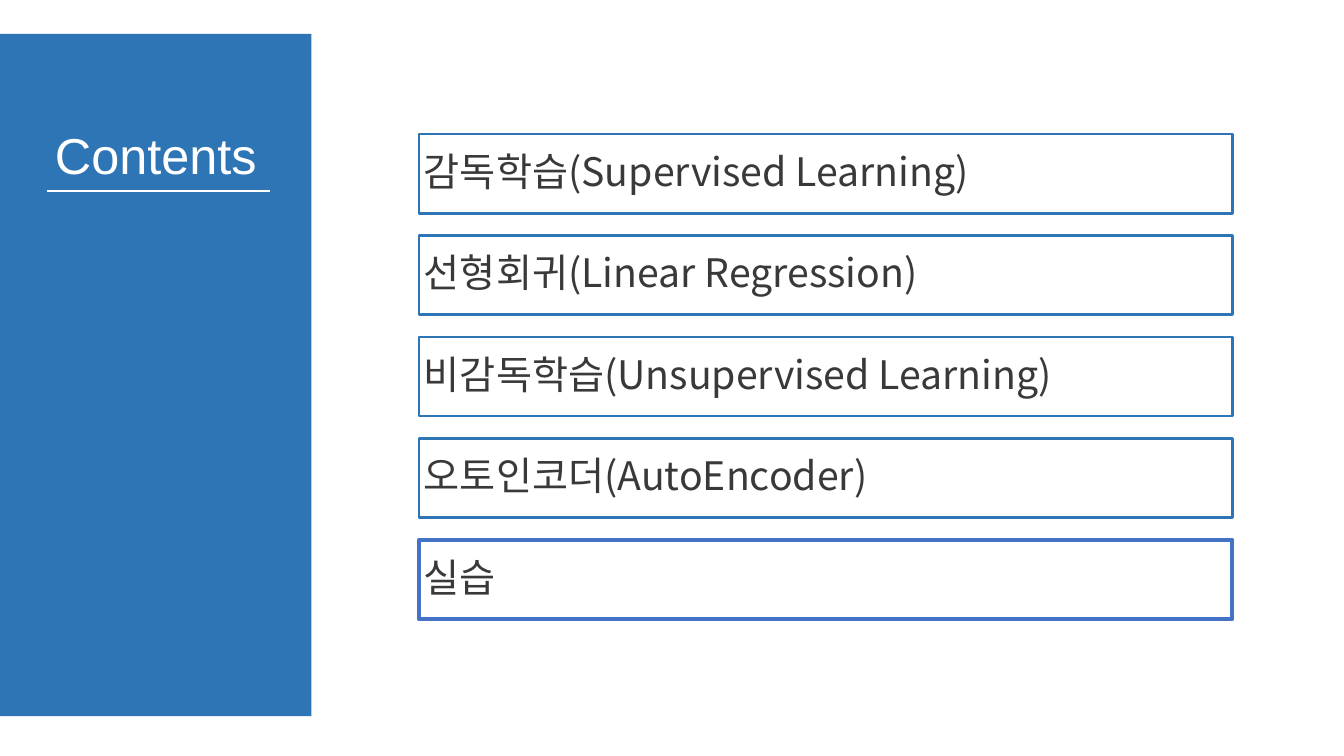
from dataclasses import dataclass
from typing import Any

import lxml.etree
import pptx
import pptx.dml.color
import pptx.enum.shapes
import pptx.enum.text
import pptx.oxml.ns
import pptx.util

Pt = pptx.util.Pt
ALIGN = pptx.enum.text.PP_ALIGN
BLUE = "2E75B6"
WHITE = "FFFFFF"
BODY_FONT = "Noto Sans CJK KR"
FIRST_TOP = 191.5
ITEM_STEP = 145


@dataclass(frozen=True)
class Frame:
    left: float
    top: float
    width: float
    height: float

    def lengths(self) -> list[int]:
        return [Pt(value) for value in (self.left, self.top, self.width, self.height)]


@dataclass(frozen=True)
class ContentItem:
    text: str
    line_color: str = BLUE
    line_width: float = 4


ITEMS = [
    ContentItem("감독학습(Supervised Learning)"),
    ContentItem("선형회귀(Linear Regression)"),
    ContentItem("비감독학습(Unsupervised Learning)"),
    ContentItem("오토인코더(AutoEncoder)"),
    ContentItem("실습", "4472C4", 6),
]


def color(value: str) -> pptx.dml.color.RGBColor:
    return pptx.dml.color.RGBColor.from_string(value)


def apply_format(target: Any, values: dict[str, Any]) -> None:
    for name, value in values.items():
        setattr(target, name, value)


def write_text(shape: Any, text: str, font_name: str, size: float,
               font_color: str, alignment: Any) -> None:
    frame = shape.text_frame
    margins = {f"margin_{side}": Pt(7.2) for side in ("left", "top", "right", "bottom")}
    apply_format(frame, margins | {
        "word_wrap": True,
        "vertical_anchor": pptx.enum.text.MSO_ANCHOR.MIDDLE,
    })
    paragraph = frame.paragraphs[0]
    apply_format(paragraph, {"alignment": alignment, "line_spacing": 0.9})
    run = paragraph.add_run()
    run.text = text
    apply_format(run.font, {"name": font_name, "size": Pt(size)})
    run.font.color.rgb = color(font_color)
    for properties in shape.element.iter(pptx.oxml.ns.qn("a:rPr")):
        lxml.etree.SubElement(properties, pptx.oxml.ns.qn("a:ea"), typeface=font_name)


def add_rectangle(slide: Any, frame: Frame) -> Any:
    shape = slide.shapes.add_shape(
        pptx.enum.shapes.MSO_SHAPE.RECTANGLE, *frame.lengths())
    shape.shadow.inherit = False
    return shape


def add_sidebar(slide: Any) -> None:
    sidebar = add_rectangle(slide, Frame(0, 48.5, 445, 974.5))
    sidebar.fill.solid()
    sidebar.fill.fore_color.rgb = color(BLUE)
    sidebar.line.fill.background()

    title = slide.shapes.add_textbox(*Frame(34, 178.5, 377, 94.5).lengths())
    write_text(title, "Contents", "Arial", 72, WHITE, ALIGN.CENTER)

    underline = slide.shapes.add_connector(
        pptx.enum.shapes.MSO_CONNECTOR.STRAIGHT, Pt(67.5), Pt(273.5), Pt(386), Pt(273.5))
    underline.line.color.rgb = color(WHITE)
    underline.line.width = Pt(3)
    lxml.etree.SubElement(underline.element.spPr, pptx.oxml.ns.qn("a:effectLst"))


def add_content_item(slide: Any, item: ContentItem, top: float) -> None:
    box = add_rectangle(slide, Frame(598.5, top, 1162, 113))
    box.fill.background()
    box.line.color.rgb = color(item.line_color)
    box.line.width = Pt(item.line_width)
    write_text(box, item.text, BODY_FONT, 56, "3B3838", ALIGN.LEFT)


def main() -> None:
    presentation = pptx.Presentation()
    apply_format(presentation, {"slide_width": Pt(1920), "slide_height": Pt(1080)})
    slide = presentation.slides.add_slide(presentation.slide_layouts[6])
    add_sidebar(slide)
    for index, item in enumerate(ITEMS):
        add_content_item(slide, item, FIRST_TOP + index * ITEM_STEP)
    presentation.save("out.pptx")


if __name__ == "__main__":
    main()
